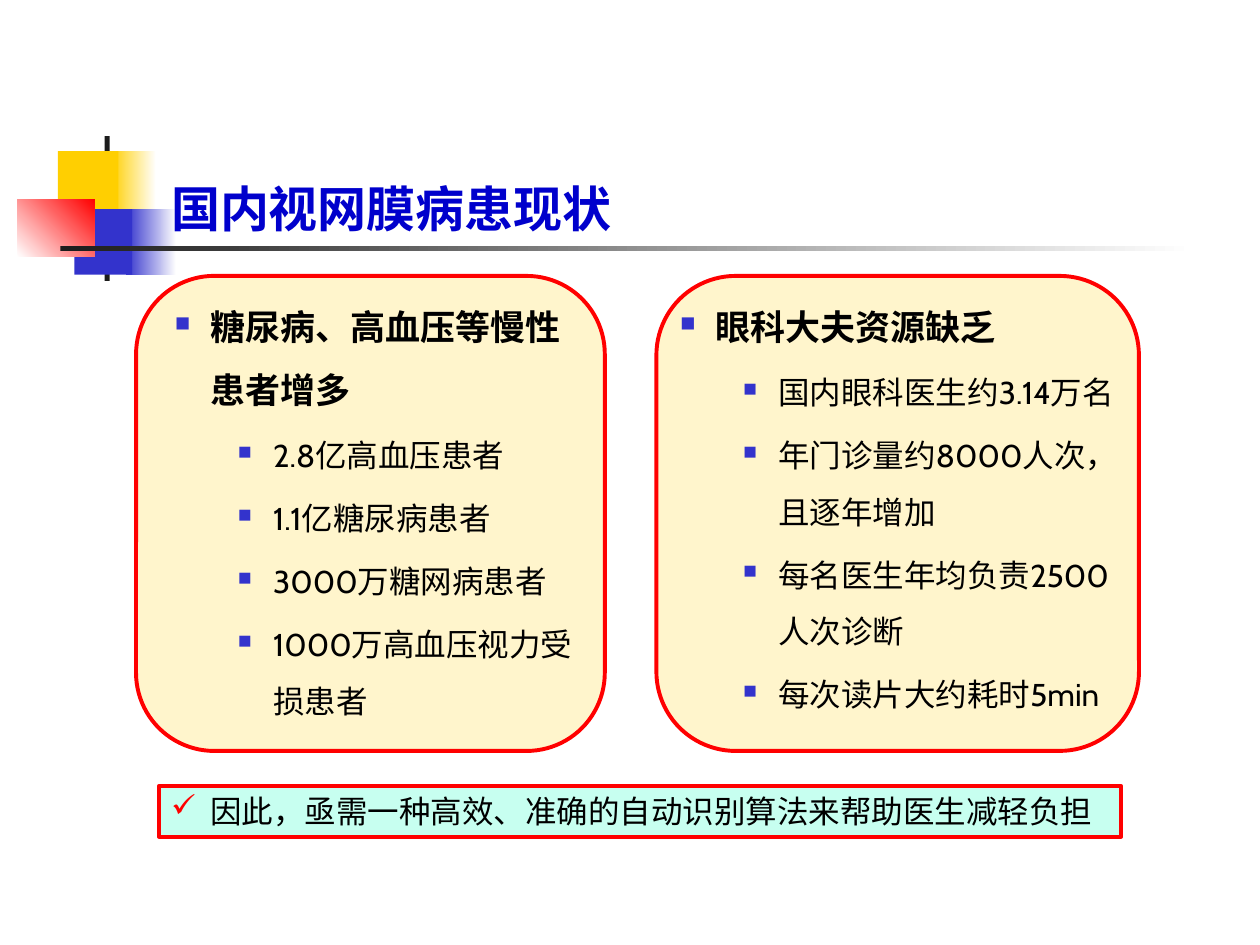
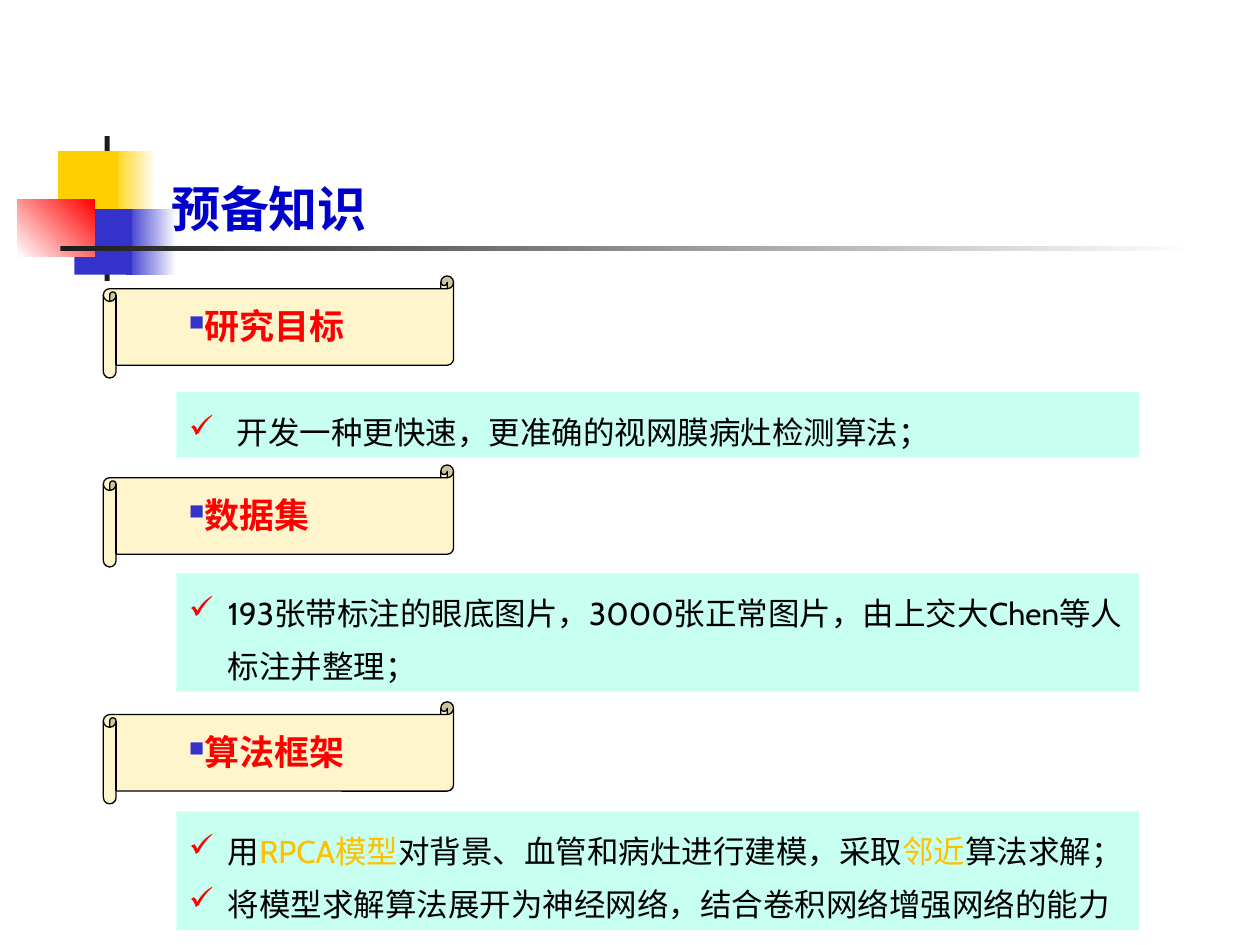
"""Builds two slides on retinal disease screening: the situation and the preliminaries."""
import pptx
import pptx.dml.color
import pptx.enum.shapes
import pptx.enum.text
import pptx.oxml.ns
import pptx.util
from lxml import etree

Inches = pptx.util.Inches
Pt = pptx.util.Pt
SHAPES = pptx.enum.shapes.MSO_SHAPE

BLUE, YELLOW, RED, DARK = "3333CC", "FFCF01", "FF0000", "1C1C1C"
WHITE, BLACK, TITLE_BLUE, ORANGE = "FFFFFF", "000000", "0000CC", "FFC000"
CREAM, MINT = "FFF5CC", "C7FFF0"
TITLE_FONT, BODY_FONT, BULLET_FONT = "Noto Sans CJK SC", "Cabin", "OpenSymbol"
SQUARE, CHECK = ("■", BLUE, 60), ("✓", RED, 100)

MOTIF = [
    ((0.88, 1.2, 0.36, 0.52), (YELLOW, WHITE), 0),
    ((1, 1.66, 0.4, 0.52), (BLUE, WHITE), 0),
    ((0.83, 1.08, 0.04, 1.15), DARK, 0),
    ((0.46, 1.2, 0.48, 0.52), YELLOW, 0),
    ((0.59, 1.66, 0.46, 0.52), BLUE, 0),
    ((0.14, 1.58, 0.61, 0.46), (WHITE, RED), 45),
    ((0.48, 1.95, 9, 0.04), (DARK, WHITE), 0),
]

STATUS_TITLE = "国内视网膜病患现状"
STATUS_PANELS = [
    {"panel": (1.08, 2.19, 3.72, 3.77), "text": (1.29, 2.21, 3.4, 3.49),
     "heading": "糖尿病、高血压等慢性患者增多",
     "points": ["2.8亿高血压患者", "1.1亿糖尿病患者", "3000万糖网病患者",
                "1000万高血压视力受损患者"]},
    {"panel": (5.21, 2.19, 3.83, 3.77), "text": (5.3, 2.21, 3.84, 3.49),
     "heading": "眼科大夫资源缺乏",
     "points": ["国内眼科医生约3.14万名", "年门诊量约8000人次，且逐年增加",
                "每名医生年均负责2500人次诊断", "每次读片大约耗时5min"]},
]
CONCLUSION = "因此，亟需一种高效、准确的自动识别算法来帮助医生减轻负担"

BASICS_TITLE = "预备知识"
BASICS_SECTIONS = [
    {"heading": "研究目标", "top": 2.19, "width": 1.61, "body": (3.11, 0.52), "indent": 0.38,
     "points": ["开发一种更快速，更准确的视网膜病灶检测算法；"]},
    {"heading": "数据集", "top": 3.69, "width": 1.33, "body": (4.55, 0.94), "indent": 0.31,
     "points": ["193张带标注的眼底图片，3000张正常图片，由上交大Chen等人标注并整理；"]},
    {"heading": "算法框架", "top": 5.57, "width": 1.61, "body": (6.44, 0.94), "indent": 0.31,
     "points": [[("用", BLACK), ("RPCA模型", ORANGE), ("对背景、血管和病灶进行建模，采取", BLACK),
                 ("邻近", ORANGE), ("算法求解；", BLACK)],
                "将模型求解算法展开为神经网络，结合卷积网络增强网络的能力"]},
]


def color(value):
    return pptx.dml.color.RGBColor.from_string(value)


def paint(shape, fill=None, line=None, angle=0):
    if isinstance(fill, tuple):
        shape.fill.gradient()
        shape.fill.gradient_angle = angle
        for stop, value, position in zip(shape.fill.gradient_stops, fill, (0, 1)):
            stop.color.rgb = color(value)
            stop.position = position
    elif fill:
        shape.fill.solid()
        shape.fill.fore_color.rgb = color(fill)
    if line:
        shape.line.color.rgb = color(line[0])
        shape.line.width = Pt(line[1])
    else:
        shape.line.fill.background()


def add_block(slide, kind, box, fill, line=None, angle=0):
    shape = slide.shapes.add_shape(kind, *map(Inches, box))
    shape.shadow.inherit = False
    paint(shape, fill, line, angle)


def add_bullet(paragraph, bullet, left, hanging):
    character, tint, percent = bullet
    properties = paragraph._p.get_or_add_pPr()
    properties.set("marL", str(Inches(left)))
    properties.set("indent", str(-Inches(hanging)))

    def add(parent, tag, **attributes):
        return etree.SubElement(parent, pptx.oxml.ns.qn(tag), **attributes)

    add(add(properties, "a:buClr"), "a:srgbClr", val=tint)
    add(properties, "a:buSzPct", val=str(percent * 1000))
    add(properties, "a:buFont", typeface=BULLET_FONT)
    add(properties, "a:buChar", char=character)


def write(frame, text, first=False, size=18, tint=BLACK, bold=False, font=BODY_FONT,
          bullet=None, left=0, hanging=0, spacing=None, before=None):
    paragraph = frame.paragraphs[0] if first else frame.add_paragraph()
    if bullet:
        add_bullet(paragraph, bullet, left, hanging)
    if spacing:
        paragraph.line_spacing = spacing
    if before:
        paragraph.space_before = Pt(before)
    for words, run_tint in [(text, tint)] if isinstance(text, str) else text:
        run = paragraph.add_run()
        run.text = words
        run.font.size = Pt(size)
        run.font.bold = bold
        run.font.name = font
        run.font.color.rgb = color(run_tint)
        etree.SubElement(run.font._element, pptx.oxml.ns.qn("a:ea"), typeface=font)


def add_text_box(slide, box, fill=None, line=None, wrap=True, bottom=False):
    shape = slide.shapes.add_textbox(*map(Inches, box))
    paint(shape, fill, line)
    anchors = pptx.enum.text.MSO_ANCHOR
    shape.text_frame.word_wrap = wrap
    shape.text_frame.vertical_anchor = anchors.BOTTOM if bottom else anchors.TOP
    return shape.text_frame


def add_slide(presentation, title):
    slide = presentation.slides.add_slide(presentation.slide_layouts[6])
    for box, fill, angle in MOTIF:
        add_block(slide, SHAPES.RECTANGLE, box, fill, angle=angle)
    frame = add_text_box(slide, (1.26, 0.68, 8.52, 1.25), bottom=True)
    write(frame, title, first=True, size=28, tint=TITLE_BLUE, bold=True, font=TITLE_FONT)
    return slide


def build_status(presentation):
    slide = add_slide(presentation, STATUS_TITLE)
    for panel in STATUS_PANELS:
        add_block(slide, SHAPES.ROUNDED_RECTANGLE, panel["panel"], CREAM, (RED, 2.25))
        frame = add_text_box(slide, panel["text"])
        write(frame, panel["heading"], first=True, size=20, bold=True, bullet=SQUARE,
              left=0.28, hanging=0.28, spacing=1.5)
        for point in panel["points"]:
            write(frame, point, bullet=SQUARE, left=0.78, hanging=0.28, spacing=1.5, before=3.6)
    frame = add_text_box(slide, (1.26, 6.24, 7.64, 0.4), MINT, (RED, 2.25))
    write(frame, CONCLUSION, first=True, bullet=CHECK, left=0.31, hanging=0.31)


def build_basics(presentation):
    slide = add_slide(presentation, BASICS_TITLE)
    for section in BASICS_SECTIONS:
        top = section["top"]
        add_block(slide, SHAPES.HORIZONTAL_SCROLL, (0.82, top, 2.78, 0.81), CREAM, (BLACK, 0.75))
        frame = add_text_box(slide, (1.4, top + 0.18, section["width"], 0.44), wrap=False)
        write(frame, section["heading"], first=True, size=20, tint=RED, bold=True,
              bullet=SQUARE, hanging=0.28)
        body_top, body_height = section["body"]
        frame = add_text_box(slide, (1.4, body_top, 7.64, body_height), MINT)
        for index, point in enumerate(section["points"]):
            write(frame, point, first=index == 0, bullet=CHECK, left=section["indent"],
                  hanging=section["indent"], spacing=Pt(30))


def main():
    presentation = pptx.Presentation()
    presentation.slide_width = Inches(10)
    presentation.slide_height = Inches(7.5)
    build_status(presentation)
    build_basics(presentation)
    presentation.save("out.pptx")


if __name__ == "__main__":
    main()
